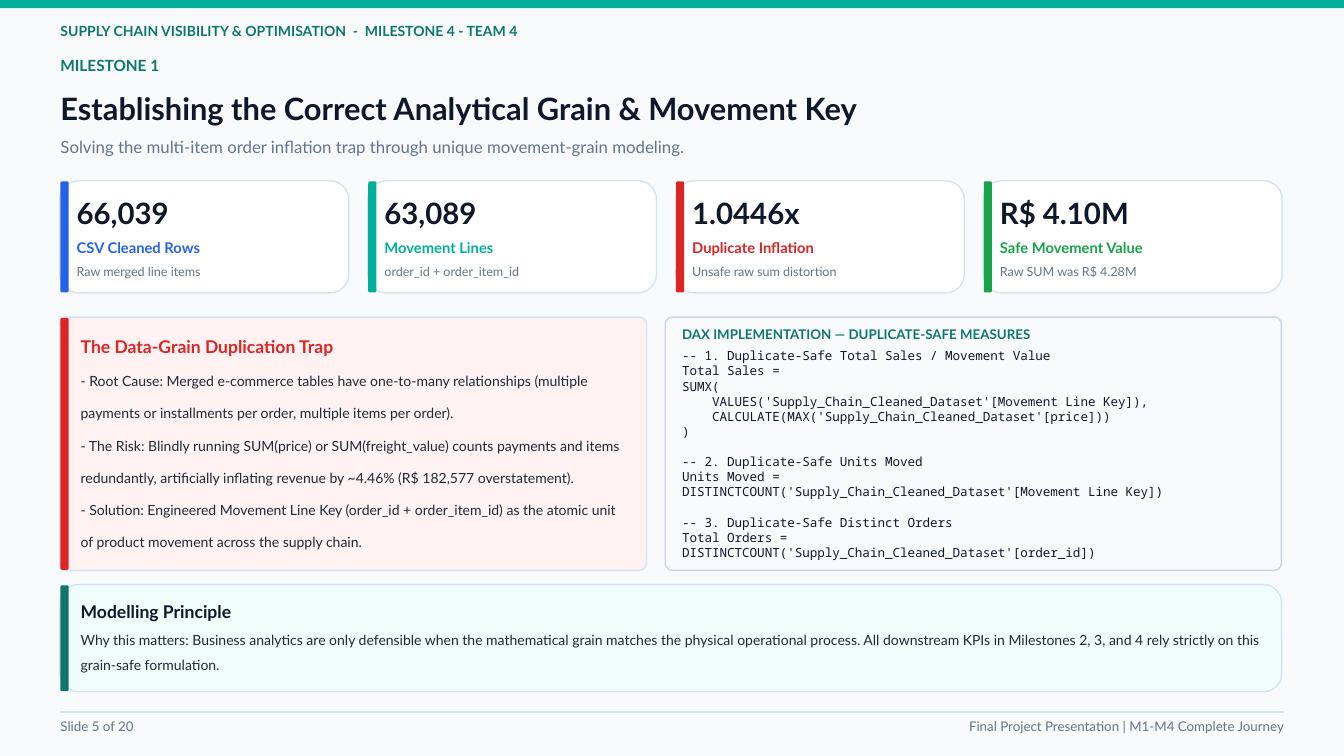
import pptx
import pptx.util
import pptx.dml.color
import pptx.enum.shapes
import pptx.enum.text
import pptx.oxml.ns
import lxml.etree

Pt = pptx.util.Pt
SHAPES = pptx.enum.shapes.MSO_SHAPE
ALIGN = pptx.enum.text.PP_ALIGN

COLOURS = {
    "page": "F8FAFC", "white": "FFFFFF", "ink": "0F172A", "body": "1F2937",
    "muted": "64748B", "border": "D8E3F0", "code_border": "CBD5E1",
    "teal": "00B09B", "deep_teal": "0F766E", "blue": "2563EB",
    "red": "DC2626", "green": "16A34A", "pale_red": "FEF2F2",
    "pale_teal": "F0FDFA",
}
LEFT = 64.8

KPIS = [
    ("66,039", "CSV Cleaned Rows", "Raw merged line items", "blue"),
    ("63,089", "Movement Lines", "order_id + order_item_id", "teal"),
    ("1.0446x", "Duplicate Inflation", "Unsafe raw sum distortion", "red"),
    ("R$ 4.10M", "Safe Movement Value", "Raw SUM was R$ 4.28M", "green"),
]
TRAP_POINTS = [
    "- Root Cause: Merged e-commerce tables have one-to-many relationships "
    "(multiple payments or installments per order, multiple items per order).",
    "- The Risk: Blindly running SUM(price) or SUM(freight_value) counts payments and items "
    "redundantly, artificially inflating revenue by ~4.46% (R$ 182,577 overstatement).",
    "- Solution: Engineered Movement Line Key (order_id + order_item_id) as the atomic unit "
    "of product movement across the supply chain.",
]
PRINCIPLE = (
    "Why this matters: Business analytics are only defensible when the mathematical grain "
    "matches the physical operational process. All downstream KPIs in Milestones 2, 3, and 4 "
    "rely strictly on this grain-safe formulation."
)
MEASURES = [
    """-- 1. Duplicate-Safe Total Sales / Movement Value
Total Sales =
SUMX(
    VALUES('Supply_Chain_Cleaned_Dataset'[Movement Line Key]),
    CALCULATE(MAX('Supply_Chain_Cleaned_Dataset'[price]))
)""",
    """-- 2. Duplicate-Safe Units Moved
Units Moved =
DISTINCTCOUNT('Supply_Chain_Cleaned_Dataset'[Movement Line Key])""",
    """-- 3. Duplicate-Safe Distinct Orders
Total Orders =
DISTINCTCOUNT('Supply_Chain_Cleaned_Dataset'[order_id])""",
]


def rgb(name):
    return pptx.dml.color.RGBColor.from_string(COLOURS[name])


class Deck:
    """Holds the fonts and the slide being drawn; all lengths are points."""

    font = "Lato"
    code_font = "Noto Sans Mono"

    def __init__(self, width, height):
        self.presentation = pptx.Presentation()
        self.presentation.slide_width = Pt(width)
        self.presentation.slide_height = Pt(height)
        self.slide = self.presentation.slides.add_slide(self.presentation.slide_layouts[6])
        self.slide.background.fill.solid()
        self.slide.background.fill.fore_color.rgb = rgb("page")

    def block(self, x, y, w, h, fill, border=None, radius=0):
        kind = SHAPES.ROUNDED_RECTANGLE if radius else SHAPES.RECTANGLE
        block = self.slide.shapes.add_shape(kind, Pt(x), Pt(y), Pt(w), Pt(h))
        if radius:
            block.adjustments[0] = radius / min(w, h)
        block.shadow.inherit = False
        block.fill.solid()
        block.fill.fore_color.rgb = rgb(fill)
        if border:
            block.line.color.rgb = rgb(border)
            block.line.width = Pt(1.5)
        else:
            block.line.fill.background()

    def accent_card(self, x, y, w, h, fill, accent, radius):
        """Outlined card with a coloured bar just inside its left edge."""
        inset = 0.7
        self.block(x - inset, y - inset, w, h, fill, "border", radius)
        self.block(x, y, 8.64, h - 2 * inset, accent, radius=1.44)

    def rule(self, x, y, w, colour):
        rule = self.slide.shapes.add_connector(
            pptx.enum.shapes.MSO_CONNECTOR.STRAIGHT, Pt(x), Pt(y), Pt(x + w), Pt(y))
        rule.line.color.rgb = rgb(colour)
        rule.line.width = Pt(1.8)
        lxml.etree.SubElement(rule._element.spPr, pptx.oxml.ns.qn("a:effectLst"))

    def text(self, x, y, w, h, lines, align=ALIGN.LEFT, font=None):
        """Each line is (text, size, colour, bold, leading[, space before])."""
        frame = self.slide.shapes.add_textbox(Pt(x), Pt(y), Pt(w), Pt(h)).text_frame
        frame.word_wrap = True
        frame.margin_left = frame.margin_right = frame.margin_top = frame.margin_bottom = 0
        frame.text = "\n".join(line[0] for line in lines)
        for paragraph, (_, size, colour, bold, leading, *before) in zip(frame.paragraphs, lines):
            paragraph.alignment = align
            paragraph.line_spacing = Pt(leading)
            if before and before[0]:
                paragraph.space_before = Pt(before[0])
            for run in paragraph.runs:
                run.font.name = font or self.font
                run.font.size = Pt(size)
                run.font.bold = bold
                run.font.color.rgb = rgb(colour)

    def code(self, x, y, w, h, groups, size, leading):
        """Code groups set one empty line apart."""
        lines = []
        for group_index, group in enumerate(groups):
            for line_index, line in enumerate(group.split("\n")):
                gap = leading if group_index and not line_index else 0
                lines.append((line, size, "ink", False, leading, gap))
        self.text(x, y, w, h, lines, font=self.code_font)


def main():
    deck = Deck(1440, 810)

    deck.block(0, 0, 1440, 8.64, "teal")
    deck.text(LEFT, 23.8, 864, 32, [
        ("SUPPLY CHAIN VISIBILITY & OPTIMISATION  -  MILESTONE 4 - TEAM 4",
         15, "deep_teal", True, 18)])
    deck.text(LEFT, 59.8, 864, 27, [("MILESTONE 1", 16.5, "deep_teal", True, 19.8)])
    deck.text(LEFT, 96.5, 1296, 38, [
        ("Establishing the Correct Analytical Grain & Movement Key", 33, "ink", True, 39.6)])
    deck.text(LEFT, 146.2, 1296, 21, [
        ("Solving the multi-item order inflation trap through unique movement-grain modeling.",
         18, "muted", False, 21.6)])

    for index, (value, label, note, accent) in enumerate(KPIS):
        x = LEFT + index * 329.76
        width = 320.4 if index == len(KPIS) - 1 else 309.6
        deck.accent_card(x, 194.4, width, 120.2, "white", accent, 20)
        deck.text(x + 17.3, 191.5, width - 27.4, 106, [
            (value, 31.5, "ink", True, 55.5),
            (label, 15.8, accent, True, 27.7),
            (note, 13.5, "muted", False, 23.8)])

    deck.accent_card(LEFT, 340.5, 628.6, 271.4, "pale_red", "red", 7.5)
    deck.text(86.4, 339.8, 589, 247, [
        ("The Data-Grain Duplication Trap", 18.8, "red", True, 43.1),
        *((point, 15, "body", False, 34.5) for point in TRAP_POINTS)])

    deck.block(712.8, 339.8, 660.2, 271.4, "page", "code_border", 7.5)
    deck.text(730.8, 349.2, 625, 24, [
        ("DAX IMPLEMENTATION — DUPLICATE-SAFE MEASURES", 14.3, "deep_teal", True, 17.1)])
    deck.code(730.8, 373, 625, 229, MEASURES, 13.5, 16.2)

    deck.accent_card(LEFT, 627.1, 1309, 114.8, "pale_teal", "deep_teal", 19)
    deck.text(86.4, 632.9, 1270, 86.4, [
        ("Modelling Principle", 18.8, "ink", True, 34.1),
        (PRINCIPLE, 15, "body", False, 27.3)])

    deck.rule(LEFT, 762.8, 1311, "border")
    for x, note, align in [
        (LEFT, "Slide 5 of 20", ALIGN.LEFT),
        (943.9, "Final Project Presentation | M1-M4 Complete Journey", ALIGN.RIGHT),
    ]:
        deck.text(x, 769.7, 432, 27, [(note, 14.3, "muted", False, 17.1)], align)

    deck.presentation.save("out.pptx")


if __name__ == "__main__":
    main()
